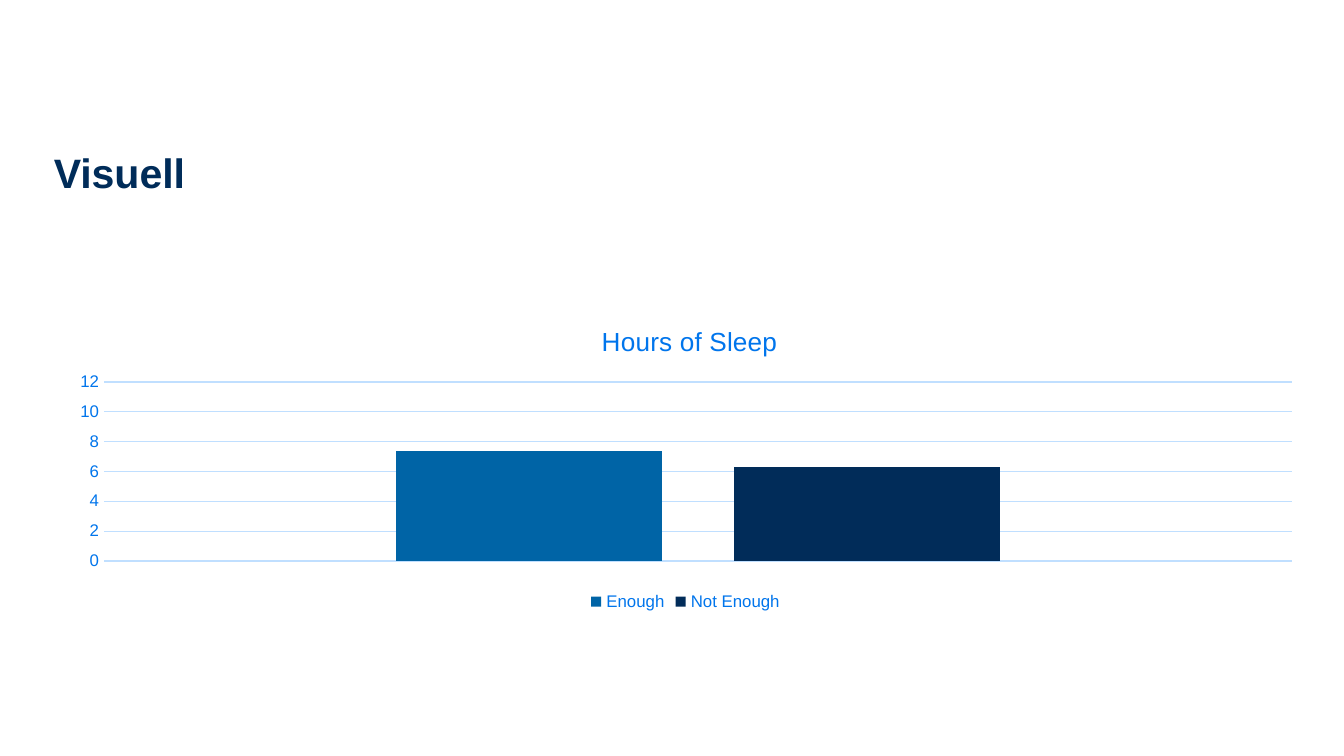
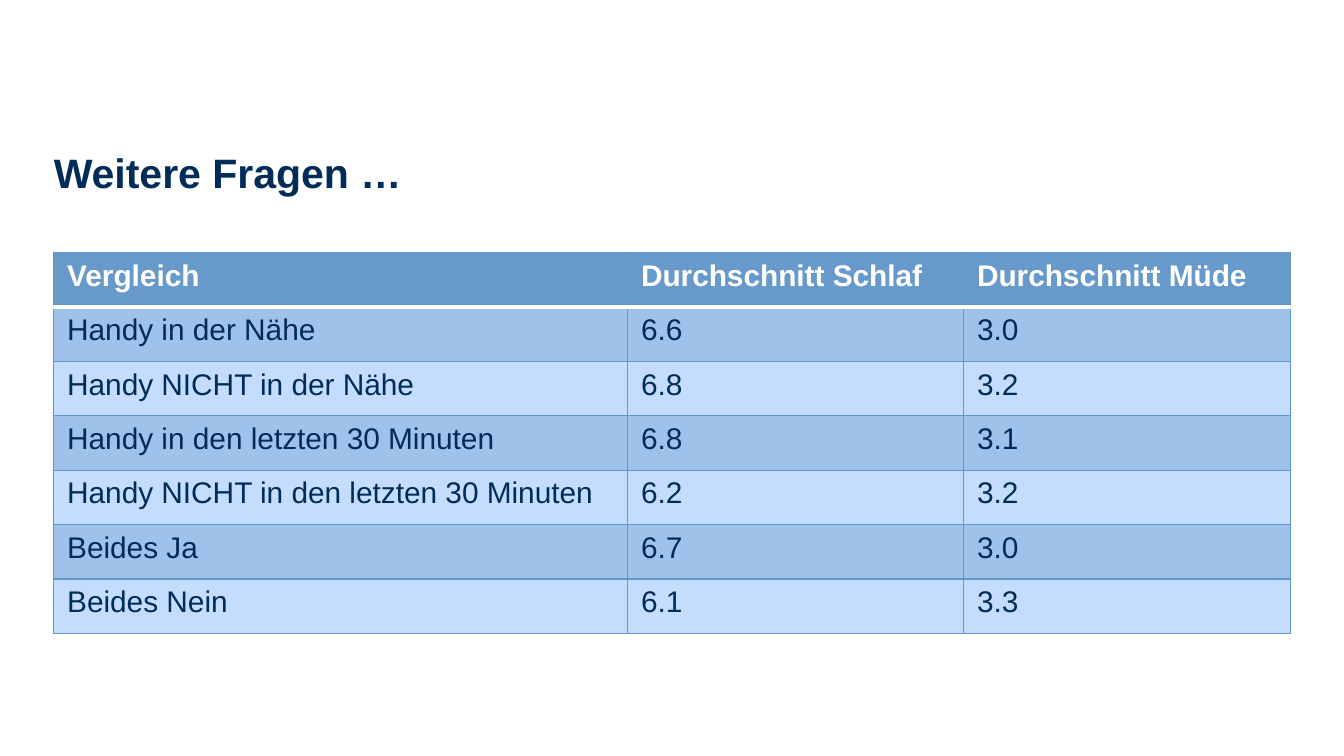
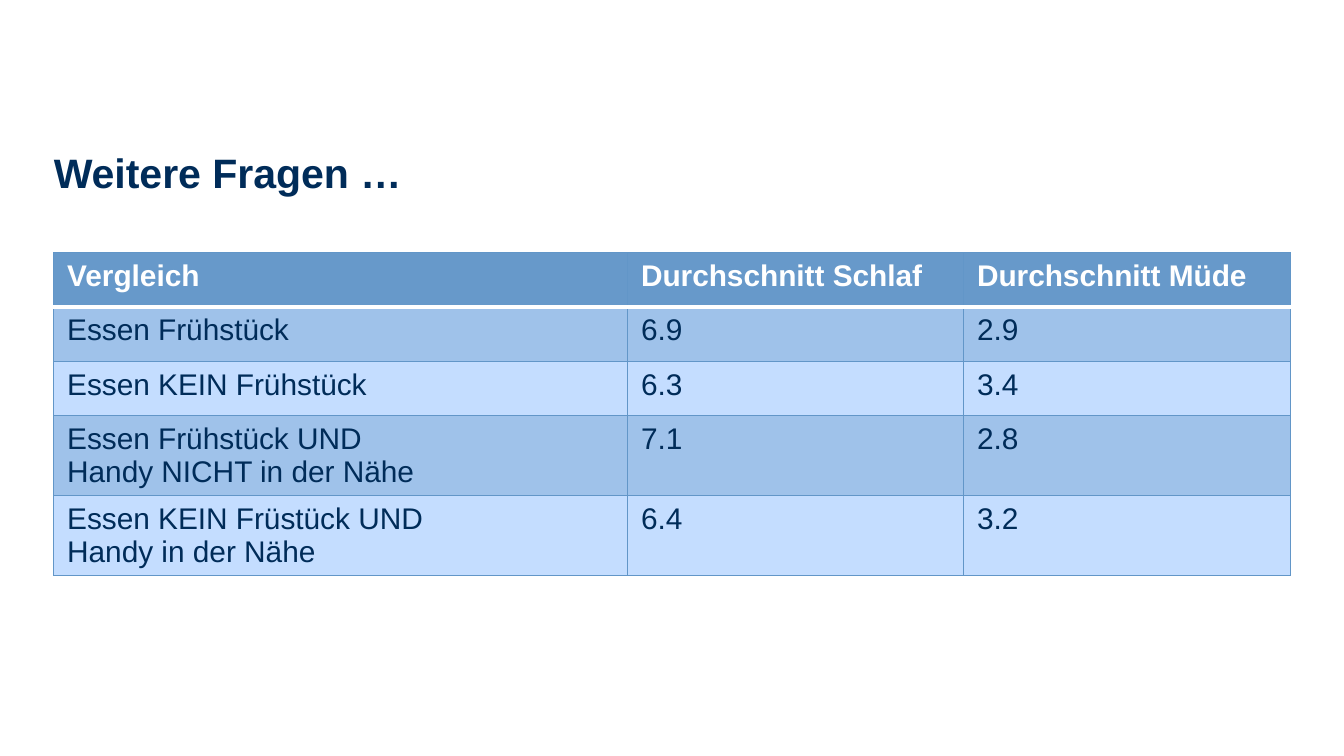
from dataclasses import dataclass

from lxml.etree import SubElement
from pptx import Presentation
from pptx.chart.data import CategoryChartData
from pptx.dml.color import RGBColor
from pptx.enum.chart import XL_CHART_TYPE, XL_LEGEND_POSITION, XL_TICK_MARK
from pptx.enum.text import MSO_ANCHOR, PP_ALIGN
from pptx.oxml import parse_xml
from pptx.oxml.ns import nsdecls, qn
from pptx.util import Inches, Pt


@dataclass(frozen=True)
class Theme:
    font: str = "Arial"
    navy: str = "002C59"
    bright: str = "0075EC"
    grid: str = "C0DFFF"
    header: str = "6799CA"
    band: str = "9FC2EA"
    plain: str = "C4DDFF"
    border: str = "6296C8"
    white: str = "FFFFFF"
    bars: tuple = ("0064A6", "012C59")
    title_size: int = 22
    table_size: int = 16
    chart_title_size: int = 14
    label_size: int = 9


theme = Theme()


def style(font, size, color, bold=False):
    font.name = theme.font
    font.size = Pt(size)
    font.bold = bold
    font.color.rgb = RGBColor.from_string(color)


def place(element, **shares):
    """Set a manual chart layout in shares of the chart's size."""
    for old in element.findall(qn("c:layout")):
        element.remove(old)
    layout = parse_xml(f"<c:layout {nsdecls('c')}><c:manualLayout/></c:layout>")
    for tag, val in shares.items():
        SubElement(layout[0], qn(f"c:{tag}")).set("val", str(val))
    tx = element.find(qn("c:tx"))
    element.insert(0 if tx is None else 1, layout)


# 16:9 slide on a square grid, 100 columns wide
prs = Presentation()
prs.slide_width = Inches(10)
prs.slide_height = prs.slide_width * 9 // 16
col = row = prs.slide_width // 100
left, wide = 4 * col, 94 * col

# Slides with their shared title style
slides = []
for title in ("Visuell", "Weitere Fragen …", "Weitere Fragen …"):
    s = prs.slides.add_slide(prs.slide_layouts[5])
    sp = s.shapes.title
    sp.left, sp.top, sp.width, sp.height = left, 11 * row, wide, int(7.8 * row)
    tf = sp.text_frame
    tf.text = title
    tf.margin_left = tf.margin_right = tf.margin_top = tf.margin_bottom = 0
    tf.vertical_anchor = MSO_ANCHOR.TOP
    p = tf.paragraphs[0]
    p.alignment = PP_ALIGN.LEFT
    style(p.runs[0].font, theme.title_size, theme.navy, True)
    slides.append(s)

# Sleep chart
data = CategoryChartData()
data.categories = ["1"]
data.add_series("Enough", [7.4])
data.add_series("Not Enough", [6.3])
chart = slides[0].shapes.add_chart(
    XL_CHART_TYPE.COLUMN_CLUSTERED, left, int(22.9 * row), wide, 23 * row, data).chart
style(chart.font, theme.label_size, theme.bright)

tf = chart.chart_title.text_frame
tf.text = "Hours of Sleep"
style(tf.paragraphs[0].runs[0].font, theme.chart_title_size, theme.bright)
chart.chart_title.include_in_layout = False
place(chart.chart_title._element, xMode="edge", yMode="edge", x=0.43, y=0.04)

chart.has_legend = True
chart.legend.position = XL_LEGEND_POSITION.BOTTOM
chart.legend.include_in_layout = False
style(chart.legend.font, theme.label_size, theme.bright)

chart.category_axis.visible = False
axis = chart.value_axis
axis.minimum_scale, axis.maximum_scale, axis.major_unit = 0, 12, 2
axis.major_tick_mark = axis.minor_tick_mark = XL_TICK_MARK.NONE
axis.format.line.fill.background()
axis.major_gridlines.format.line.width = Pt(0.75)
axis.major_gridlines.format.line.color.rgb = RGBColor.from_string(theme.grid)
style(axis.tick_labels.font, theme.label_size, theme.bright)

plot = chart.plots[0]
plot.gap_width, plot.overlap, plot.vary_by_categories = 219, -27, False
for series, color in zip(plot.series, theme.bars):
    series.format.fill.solid()
    series.format.fill.fore_color.rgb = RGBColor.from_string(color)
place(chart._chartSpace.chart.plotArea, layoutTarget="inner", xMode="edge",
      yMode="edge", x=0.04, y=0.24, w=0.94, h=0.58)

# Comparison tables
header = ("Vergleich", "Durchschnitt Schlaf", "Durchschnitt Müde")
phone_rows = [
    ("Handy in der Nähe", "6.6", "3.0"),
    ("Handy NICHT in der Nähe", "6.8", "3.2"),
    ("Handy in den letzten 30 Minuten", "6.8", "3.1"),
    ("Handy NICHT in den letzten 30 Minuten", "6.2", "3.2"),
    ("Beides Ja", "6.7", "3.0"),
    ("Beides Nein", "6.1", "3.3"),
]
breakfast_rows = [
    ("Essen Frühstück", "6.9", "2.9"),
    ("Essen KEIN Frühstück", "6.3", "3.4"),
    ("Essen Frühstück UND\nHandy NICHT in der Nähe", "7.1", "2.8"),
    ("Essen KEIN Früstück UND\vHandy in der Nähe", "6.4", "3.2"),
]
for s, body in zip(slides[1:], (phone_rows, breakfast_rows)):
    rows = [header] + body
    row_height = int(4.05 * row)
    table = s.shapes.add_table(len(rows), 3, left, int(18.8 * row),
                               92 * col, row_height * len(rows)).table
    for column, share in zip(table.columns, (42.7, 25, 24.3)):
        column.width = int(share * col)
    for i, texts in enumerate(rows):
        two_lines = "\n" in texts[0] or "\v" in texts[0]
        table.rows[i].height = int(5.95 * row) if two_lines else row_height
        fill = theme.header if i == 0 else theme.band if i % 2 else theme.plain
        for j, text in enumerate(texts):
            cell = table.cell(i, j)
            cell.text_frame.text = text
            for p in cell.text_frame.paragraphs:
                for r in p.runs:
                    style(r.font, theme.table_size, theme.navy if i else theme.white, i == 0)
            # Borders, with a white rule under the header
            for side in "LRTB":
                rule = (i, side) in ((0, "B"), (1, "T"))
                line = SubElement(cell._tc.get_or_add_tcPr(), qn(f"a:ln{side}"),
                                  w=str(Pt(2 if rule else 0.75)))
                SubElement(SubElement(line, qn("a:solidFill")), qn("a:srgbClr"),
                           val=theme.white if rule else theme.border)
            cell.fill.solid()
            cell.fill.fore_color.rgb = RGBColor.from_string(fill)

prs.save("out.pptx")
